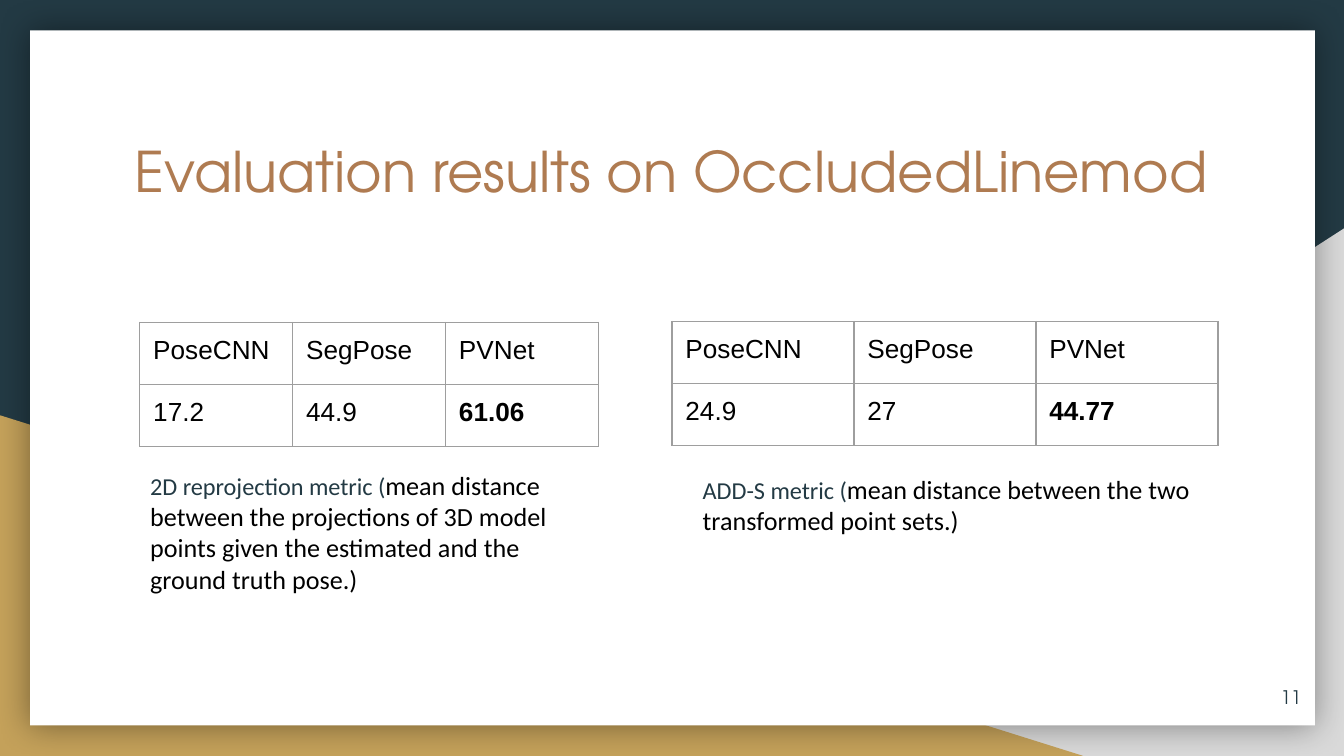
from lxml import etree
from pptx import Presentation
from pptx.dml.color import RGBColor
from pptx.enum import shapes, text
from pptx.oxml import ns
from pptx.util import Pt

COLORS = {"navy": "233A44", "gray": "D9D9D9", "gold": "C4A15A", "white": "FFFFFF",
          "copper": "AF7B51", "black": "000000", "border": "9E9E9E"}
HEADING_FONT = "TeX Gyre Adventor"
INSET = 7.2
ROW_HEIGHT = 33.2

TITLE = "Evaluation results on OccludedLinemod"
PAGE_NUMBER = "11"
METHODS = ["PoseCNN", "SegPose", "PVNet"]
RESULTS = [
    {"scores": ["17.2", "44.9", "61.06"], "table": (74.9, 172.8), "column": 81.9,
     "caption": (73.4, 244.1, 247.7, 85.7), "metric": "2D reprojection metric (",
     "meaning": "mean distance between the projections of 3D model points "
                "given the estimated and the ground truth pose.)"},
    {"scores": ["24.9", "27", "44.77"], "table": (360, 172.2), "column": 97.5,
     "caption": (369.4, 246.2, 283, 46.1), "metric": "ADD-S metric (",
     "meaning": "mean distance between the two transformed point sets.)"},
]
TRIANGLE, RECTANGLE = shapes.MSO_SHAPE.RIGHT_TRIANGLE, shapes.MSO_SHAPE.RECTANGLE
BACKDROP = [
    (TRIANGLE, (282.2, 122.4, 437.8, 282.6), "gray"),
    (TRIANGLE, (0, 222.5, 580.3, 182.5), "gold"),
    (RECTANGLE, (16.1, 16.3, 688.3, 372.4), "white"),
]


def rgb(name):
    return RGBColor.from_string(COLORS[name])


def style(span, font, size, color, bold=False):
    span.font.name = font
    span.font.size = Pt(size)
    span.font.color.rgb = rgb(color)
    span.font.bold = bold


def set_insets(target):
    for side in ("left", "top", "right", "bottom"):
        setattr(target, f"margin_{side}", Pt(INSET))


def prepare(box, anchor=text.MSO_ANCHOR.TOP):
    frame = box.text_frame
    frame.word_wrap = True
    frame.auto_size = text.MSO_AUTO_SIZE.NONE
    frame.vertical_anchor = anchor
    set_insets(frame)
    return frame


def add_card_shadow(card):
    effects = card.element.spPr.find(ns.qn("a:effectLst"))
    shadow = etree.SubElement(effects, ns.qn("a:outerShdw"), blurRad=str(Pt(18)),
                              dist="0", dir="0", algn="ctr", rotWithShape="0")
    color = etree.SubElement(shadow, ns.qn("a:srgbClr"), val=COLORS["black"])
    etree.SubElement(color, ns.qn("a:alpha"), val="40000")


def add_borders(cell):
    properties = cell._tc.get_or_add_tcPr()
    for position, side in enumerate(("lnL", "lnR", "lnT", "lnB")):
        line = etree.Element(ns.qn(f"a:{side}"), w=str(Pt(0.75)))
        fill = etree.SubElement(line, ns.qn("a:solidFill"))
        etree.SubElement(fill, ns.qn("a:srgbClr"), val=COLORS["border"])
        properties.insert(position, line)


def add_backdrop(page):
    page.background.fill.solid()
    page.background.fill.fore_color.rgb = rgb("navy")
    for kind, place, color in BACKDROP:
        shape = page.shapes.add_shape(kind, *map(Pt, place))
        shape.fill.solid()
        shape.fill.fore_color.rgb = rgb(color)
        shape.line.fill.background()
        shape.shadow.inherit = False
        if color == "gray":
            shape.element.spPr.xfrm.set("flipH", "1")
        if color == "white":
            add_card_shadow(shape)


def add_title(page):
    title = page.shapes.title
    title.element.getparent().append(title.element)
    title.left, title.top, title.width, title.height = map(Pt, (64.8, 66.2, 591.1, 74.9))
    frame = prepare(title)
    frame.text = TITLE
    frame.paragraphs[0].alignment = text.PP_ALIGN.LEFT
    style(frame.paragraphs[0].runs[0], HEADING_FONT, 30, "copper")


def add_page_number(page):
    box = page.shapes.add_textbox(*map(Pt, (661, 357.8, 43.2, 31)))
    frame = prepare(box, text.MSO_ANCHOR.MIDDLE)
    frame.text = PAGE_NUMBER
    frame.paragraphs[0].alignment = text.PP_ALIGN.RIGHT
    style(frame.paragraphs[0].runs[0], HEADING_FONT, 10, "navy")


def add_table(page, result):
    rows = [METHODS, result["scores"]]
    size = (result["column"] * len(METHODS), ROW_HEIGHT * len(rows))
    frame = page.shapes.add_table(len(rows), len(METHODS), *map(Pt, result["table"] + size))
    table = frame.table
    table.first_row = table.horz_banding = False
    for column in table.columns:
        column.width = Pt(result["column"])
    for row_index, row in enumerate(rows):
        table.rows[row_index].height = Pt(ROW_HEIGHT)
        for column_index, value in enumerate(row):
            cell = table.cell(row_index, column_index)
            cell.text_frame.text = value
            set_insets(cell)
            cell.fill.background()
            add_borders(cell)
            best = row_index == 1 and column_index == len(METHODS) - 1
            style(cell.text_frame.paragraphs[0].runs[0], "Arial", 14, "black", best)


def add_caption(page, result):
    box = page.shapes.add_textbox(*map(Pt, result["caption"]))
    para = prepare(box).paragraphs[0]
    for part, size, color in (("metric", 13, "navy"), ("meaning", 14, "black")):
        span = para.add_run()
        span.text = result[part]
        style(span, "Calibri", size, color)


def main():
    deck = Presentation()
    deck.slide_width, deck.slide_height = Pt(720), Pt(405)
    page = deck.slides.add_slide(deck.slide_layouts[5])
    add_backdrop(page)
    add_title(page)
    add_page_number(page)
    for add_part in (add_table, add_caption):
        for result in RESULTS:
            add_part(page, result)
    deck.save("out.pptx")


if __name__ == "__main__":
    main()
